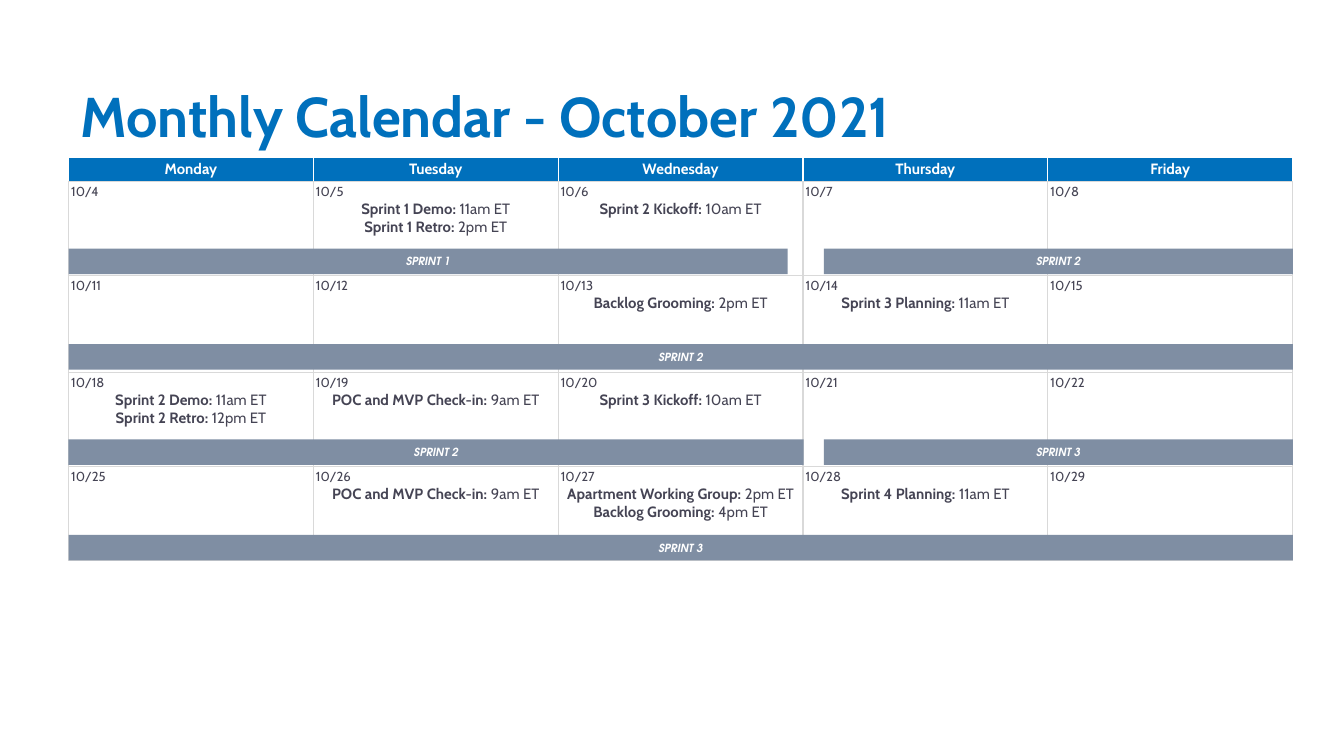
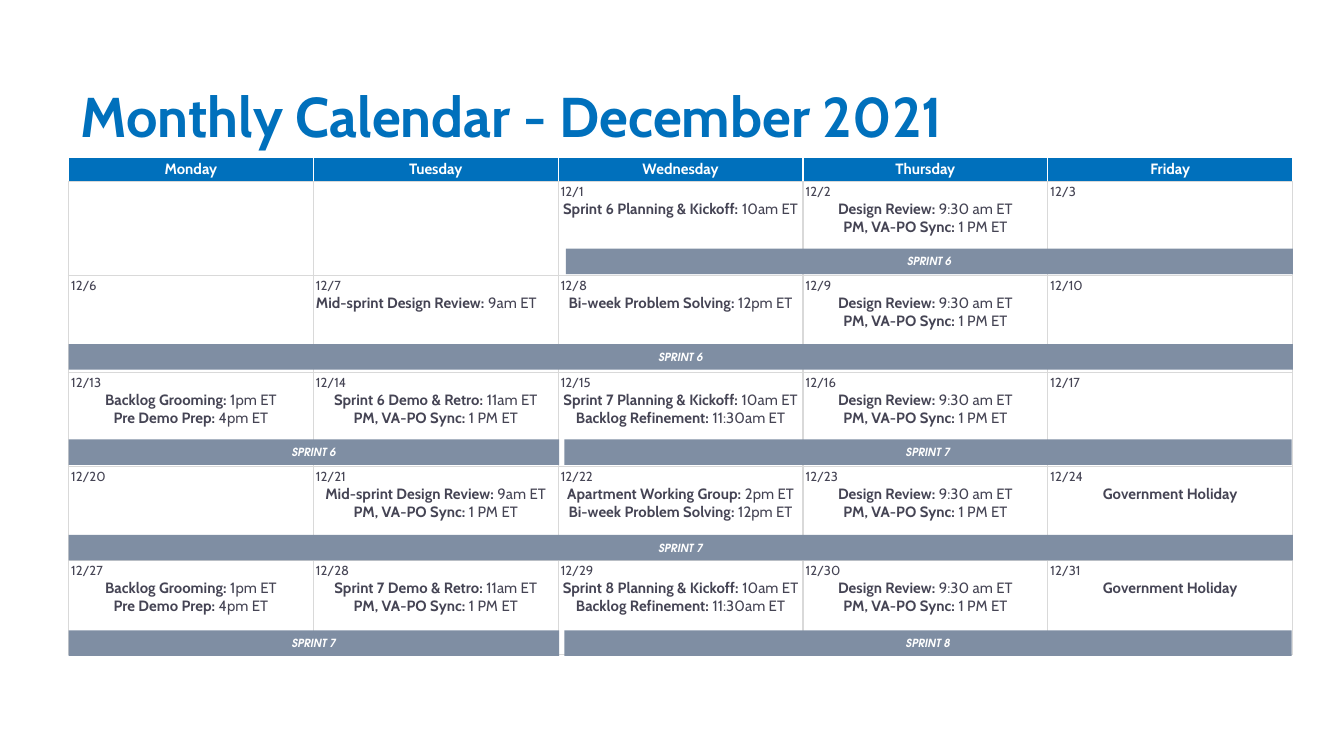
from lxml import etree
from pptx import Presentation, util as u
from pptx.dml.color import RGBColor
from pptx.enum import shapes, text
from pptx.oxml import ns

BLUE = RGBColor(0x00, 0x70, 0xBC)
SLATE = RGBColor(0x7F, 0x8E, 0xA3)
INK = RGBColor(0x45, 0x44, 0x54)
GRAY = RGBColor(0xD9, 0xD9, 0xD9)
WHITE = RGBColor(0xFF, 0xFF, 0xFF)

HEAD = dict(name="Cabin", size=u.Pt(30), bold=True, color=BLUE)
DAY = dict(name="Cabin", size=u.Pt(8), bold=True, color=WHITE)
DATE = dict(name="Cabin", size=u.Pt(7), bold=False, color=INK)
EVENT = dict(name="Cabin", size=u.Pt(8), bold=True, color=INK)
TIME = dict(EVENT, bold=False)
BAR = dict(name="TeX Gyre Adventor", size=u.Pt(6), bold=True, italic=True, color=WHITE)

DAYS = ["Monday", "Tuesday", "Wednesday", "Thursday", "Friday"]
ROWS = [0.7, 0.72, 0.7, 0.7, 0.7]
GRID = (0.51, 1.17, 9.11)
FULL = (0, 9.11)
HALF = (0, 3.65)
REST = (3.69, 5.41)
LATE = (5.62, 3.49)

CHECK = ["POC and MVP Check-in: 9am ET"]
SYNC = "PM, VA-PO Sync: 1 PM ET"
REVIEW = ["Design Review: 9:30 am ET", SYNC]
PREP = ["Backlog Grooming: 1pm ET", "Pre Demo Prep: 4pm ET"]
GROUP = "Apartment Working Group: 2pm ET"
SOLVE = "Bi-week Problem Solving: 12pm ET"
REFINE = "Backlog Refinement: 11:30am ET"
OFF = ["Government Holiday"]

MONTHS = [
    dict(
        title="Monthly Calendar - October 2021", month=10, first=4, weeks=4, left=(),
        events={
            5: ["Sprint 1 Demo: 11am ET", "Sprint 1 Retro: 2pm ET"],
            6: ["Sprint 2 Kickoff: 10am ET"],
            13: ["Backlog Grooming: 2pm ET"],
            14: ["Sprint 3 Planning: 11am ET"],
            18: ["Sprint 2 Demo: 11am ET", "Sprint 2 Retro: 12pm ET"],
            19: CHECK,
            20: ["Sprint 3 Kickoff: 10am ET"],
            26: CHECK,
            27: [GROUP, "Backlog Grooming: 4pm ET"],
            28: ["Sprint 4 Planning: 11am ET"],
        },
        bars=[(0, 1, (0, 5.35)), (0, 2, LATE), (1, 2, FULL),
              (2, 2, (0, 5.47)), (2, 3, LATE), (3, 3, FULL)],
    ),
    dict(
        title="Monthly Calendar - December 2021", month=12, first=-1, weeks=5, left=(7,),
        events={
            1: ["Sprint 6 Planning & Kickoff: 10am ET"],
            7: ["Mid-sprint Design Review: 9am ET"],
            8: [SOLVE],
            13: PREP,
            14: ["Sprint 6 Demo & Retro: 11am ET", SYNC],
            15: ["Sprint 7 Planning & Kickoff: 10am ET", REFINE],
            21: ["Mid-sprint Design Review: 9am ET", SYNC],
            22: [GROUP, SOLVE],
            24: OFF,
            27: PREP,
            28: ["Sprint 7 Demo & Retro: 11am ET", SYNC],
            29: ["Sprint 8 Planning & Kickoff: 10am ET", REFINE],
            31: OFF,
            **{day: REVIEW for day in range(2, 31, 7)},
        },
        bars=[(0, 6, (3.7, 5.41)), (1, 6, FULL), (2, 6, HALF), (2, 7, REST),
              (3, 7, FULL), (4, 7, HALF), (4, 8, REST)],
    ),
]


def add_run(para, words, style):
    run = para.add_run()
    run.text = words
    for key, val in style.items():
        if key == "color":
            run.font.color.rgb = val
        else:
            setattr(run.font, key, val)


def set_frame(frame, pads, anchor):
    sides = ("left", "top", "right", "bottom")
    form = {f"margin_{side}": u.Inches(pad) for side, pad in zip(sides, pads)}
    form.update(word_wrap=True, vertical_anchor=anchor)
    for key, val in form.items():
        setattr(frame, key, val)


def add_title(slide, words, box):
    title = slide.shapes.title
    for key, val in zip(("left", "top", "width", "height"), box):
        setattr(title, key, u.Inches(val))
    set_frame(title.text_frame, (0.1, 0.05, 0.1, 0.05), text.MSO_ANCHOR.TOP)
    para = title.text_frame.paragraphs[0]
    para.alignment = text.PP_ALIGN.LEFT
    add_run(para, words, HEAD)


def set_cell(cell, fill, edge):
    for side in ("left", "top", "right", "bottom"):
        setattr(cell, f"margin_{side}", u.Inches(0.02))
    props = cell._tc.get_or_add_tcPr()
    for tag, color in (("lnL", edge), ("lnR", edge), ("lnT", edge), ("lnB", GRAY)):
        line = etree.SubElement(props, ns.qn(f"a:{tag}"), w=str(u.Pt(0.75)))
        solid = etree.SubElement(line, ns.qn("a:solidFill"))
        etree.SubElement(solid, ns.qn("a:srgbClr"), val=str(color))
    cell.fill.solid()
    cell.fill.fore_color.rgb = fill


def fill_day(cell, date, events, align):
    frame = cell.text_frame
    add_run(frame.paragraphs[0], date, DATE)
    for event in events:
        para = frame.add_paragraph()
        para.alignment = align
        name, mark, time = event.partition(": ")
        add_run(para, name + mark, EVENT)
        if time:
            add_run(para, time, TIME)


def add_grid(slide, month, box):
    left, top, width = box
    highs = [0.18] + ROWS[:month["weeks"]]
    frame = slide.shapes.add_table(
        len(highs), len(DAYS), *map(u.Inches, (left, top, width, sum(highs))))
    table = frame.table
    table.first_row = table.horz_banding = False
    for row, high in zip(table.rows, highs):
        row.height = u.Inches(high)
    for col, name in enumerate(DAYS):
        table.columns[col].width = u.Inches(width / len(DAYS))
        cell = table.cell(0, col)
        set_cell(cell, BLUE, WHITE)
        para = cell.text_frame.paragraphs[0]
        para.alignment = text.PP_ALIGN.CENTER
        add_run(para, name, DAY)
        for week in range(month["weeks"]):
            cell = table.cell(week + 1, col)
            set_cell(cell, WHITE, GRAY)
            day = month["first"] + 7 * week + col
            if day > 0:
                align = text.PP_ALIGN.LEFT if day in month["left"] else text.PP_ALIGN.CENTER
                fill_day(cell, f"{month['month']}/{day}", month["events"].get(day, []), align)


def add_bars(slide, bars, box):
    left, top, _ = box
    for week, sprint, (shift, width) in bars:
        place = (left + shift, top + 0.68 + 0.71 * week, width, 0.19)
        bar = slide.shapes.add_shape(shapes.MSO_SHAPE.RECTANGLE, *map(u.Inches, place))
        bar.shadow.inherit = False
        bar.fill.solid()
        bar.fill.fore_color.rgb = SLATE
        bar.line.fill.background()
        set_frame(bar.text_frame, (0.1,) * 4, text.MSO_ANCHOR.MIDDLE)
        para = bar.text_frame.paragraphs[0]
        para.alignment = text.PP_ALIGN.CENTER
        add_run(para, f"SPRINT {sprint}", BAR)


def add_month(deck, month):
    slide = deck.slides.add_slide(deck.slide_layouts[5])
    add_title(slide, month["title"], (0.5, 0.56, 9, 0.69))
    add_grid(slide, month, GRID)
    add_bars(slide, month["bars"], GRID)


def main():
    deck = Presentation()
    deck.slide_width = u.Inches(10)
    deck.slide_height = deck.slide_width * 9 // 16
    for month in MONTHS:
        add_month(deck, month)
    deck.save("out.pptx")


if __name__ == "__main__":
    main()
